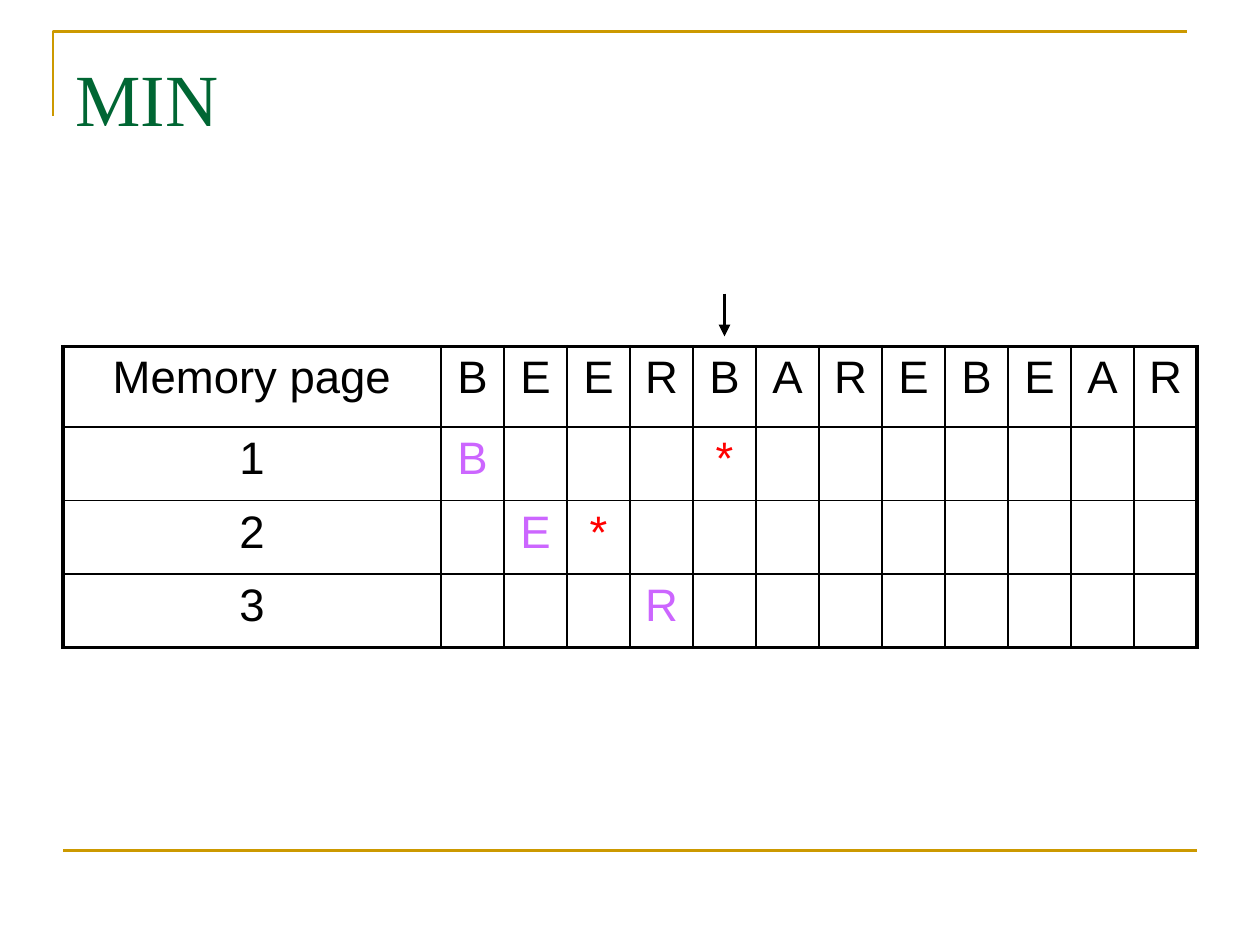
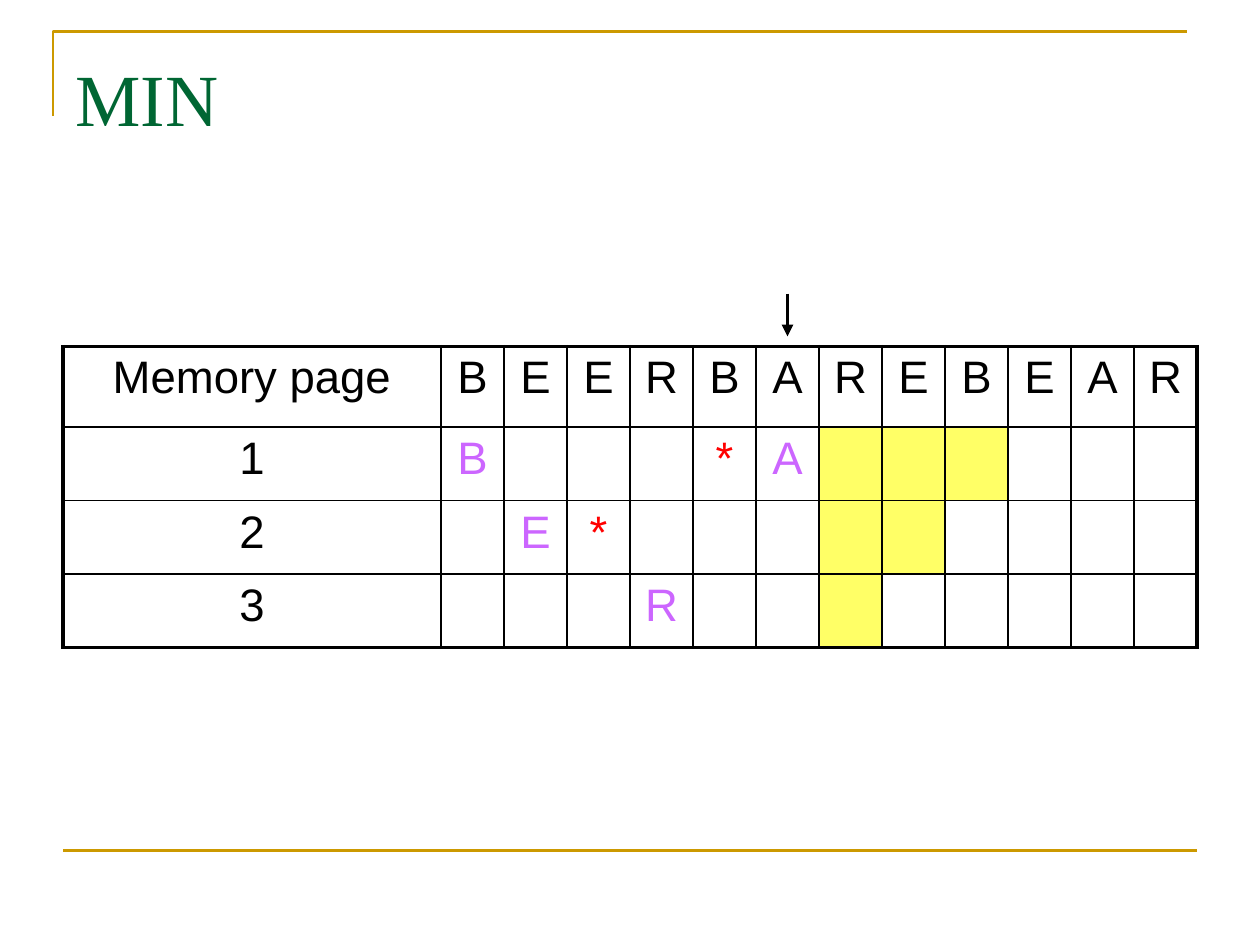
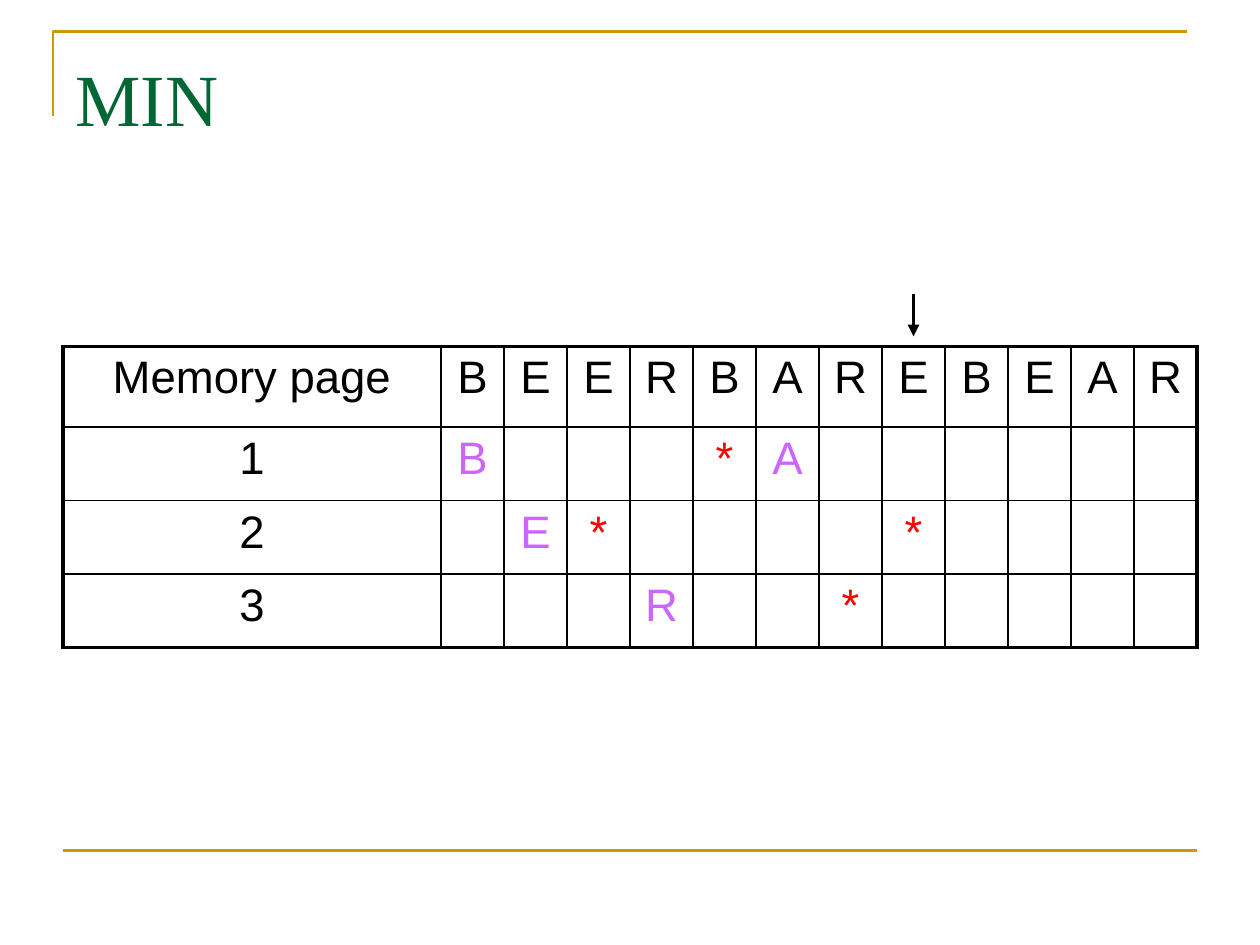
from dataclasses import dataclass

from pptx import Presentation
from pptx import util as u
from pptx.dml import color
from pptx.enum import shapes, text
from pptx.oxml import xmlchemy
from pptx.oxml.ns import qn

TITLE = "MIN"
ROW_LABEL = "Memory page"
REFERENCES = "BEERBAREBEAR"

# "step" is the reference being served. Each string is one memory page over time:
# a letter is a page loaded, * a hit and . nothing.
# "lookahead" counts the marked cells after that step on each memory page.
FRAMES = [
    {"step": 4, "lookahead": (0, 0, 0),
     "pages": ("B...*.......", ".E*.........", "...R........")},
    {"step": 5, "lookahead": (3, 2, 1),
     "pages": ("B...*A......", ".E*.........", "...R........")},
    {"step": 7, "lookahead": (0, 0, 0),
     "pages": ("B...*A......", ".E*....*....", "...R..*.....")},
]


@dataclass(frozen=True)
class Theme:
    title_font: str = "Times New Roman"
    body_font: str = "Arial"
    title_size: float = 42
    body_size: float = 26
    title: str = "006633"
    rule: str = "CC9900"
    ink: str = "000000"
    paper: str = "FFFFFF"
    load: str = "CC66FF"
    hit: str = "FF0000"
    lookahead: str = "FFFF66"
    rule_width: float = 1.5
    thin: float = 1
    thick: float = 2.25


THEME = Theme()

TABLE_LEFT, TABLE_TOP, TABLE_WIDTH, TABLE_HEIGHT = 0.5, 2.75, 9, 2.39
LABEL_WIDTH, HEADER_HEIGHT = 3, 0.64
STEP_WIDTH = (TABLE_WIDTH - LABEL_WIDTH) / len(REFERENCES)
ARROW_TOP, ARROW_BOTTOM = 2.33, 2.67


def rgb(value):
    return color.RGBColor.from_string(value)


def style_line(line, line_color, width):
    line.color.rgb = rgb(line_color)
    line.width = u.Pt(width)


def style_runs(paragraph, font_name, size, font_color):
    for run in paragraph.runs:
        run.font.name = font_name
        run.font.size = u.Pt(size)
        run.font.color.rgb = rgb(font_color)


def add_line(slide, start, end, line_color, width):
    connector = slide.shapes.add_connector(
        shapes.MSO_CONNECTOR.STRAIGHT, *map(u.Inches, (*start, *end)))
    style_line(connector.line, line_color, width)
    add_element(connector._element.spPr, "a:effectLst")
    return connector


def add_element(parent, tag, **attributes):
    element = xmlchemy.OxmlElement(tag)
    for name, value in attributes.items():
        element.set(name, str(value))
    parent.append(element)
    return element


def add_frame(slide):
    """Draw the corner bracket, the bottom rule and the title."""
    builder = slide.shapes.build_freeform(42, 92, scale=u.Inches(0.01))
    builder.add_line_segments([(42, 25), (942, 25)], close=False)
    bracket = builder.convert_to_shape()
    bracket.shadow.inherit = False
    bracket.fill.background()
    style_line(bracket.line, THEME.rule, THEME.rule_width)

    add_line(slide, (0.5, 6.75), (9.5, 6.75), THEME.rule, THEME.rule_width)

    title_box = slide.shapes.add_textbox(*map(u.Inches, (0.5, 0.3, 9, 1.25)))
    frame = title_box.text_frame
    frame.word_wrap = True
    frame.margin_top = u.Inches(0.12)
    frame.text = TITLE
    style_runs(frame.paragraphs[0], THEME.title_font, THEME.title_size, THEME.title)


def set_borders(cell, thick_sides):
    properties = cell._tc.get_or_add_tcPr()
    for side in "LRTB":
        width = THEME.thick if side in thick_sides else THEME.thin
        border = add_element(properties, f"a:ln{side}", w=u.Pt(width))
        fill = add_element(border, "a:solidFill")
        add_element(fill, "a:srgbClr", val=THEME.ink)


def mark_color(mark):
    return THEME.hit if mark == "*" else THEME.load


def add_page_table(slide, frame):
    rows = [(ROW_LABEL, *REFERENCES)]
    for number, marks in enumerate(frame["pages"], start=1):
        rows.append((str(number), *marks.replace(".", " ")))
    last_row, last_column = len(rows) - 1, len(REFERENCES)

    table = slide.shapes.add_table(
        last_row + 1, last_column + 1,
        *map(u.Inches, (TABLE_LEFT, TABLE_TOP, TABLE_WIDTH, TABLE_HEIGHT))).table
    table.first_row = table.horz_banding = False
    for index, column in enumerate(table.columns):
        column.width = u.Inches(STEP_WIDTH if index else LABEL_WIDTH)
    page_height = (TABLE_HEIGHT - HEADER_HEIGHT) / last_row
    for index, row in enumerate(table.rows):
        row.height = u.Inches(page_height if index else HEADER_HEIGHT)

    first_marked = frame["step"] + 2
    for row, values in enumerate(rows):
        marked = range(first_marked, first_marked + frame["lookahead"][row - 1]) if row else ()
        for column, value in enumerate(values):
            cell = table.cell(row, column)
            outer = {"L": column == 0, "R": column == last_column,
                     "T": row == 0, "B": row == last_row}
            set_borders(cell, [side for side, is_outer in outer.items() if is_outer])
            cell.fill.solid()
            cell.fill.fore_color.rgb = rgb(THEME.lookahead if column in marked else THEME.paper)
            if value.strip():
                cell.text_frame.text = value
                paragraph = cell.text_frame.paragraphs[0]
                paragraph.alignment = text.PP_ALIGN.CENTER
                ink = mark_color(value) if row and column else THEME.ink
                style_runs(paragraph, THEME.body_font, THEME.body_size, ink)


def add_step_arrow(slide, step):
    x = TABLE_LEFT + LABEL_WIDTH + (step + 0.5) * STEP_WIDTH
    arrow = add_line(slide, (x, ARROW_TOP), (x, ARROW_BOTTOM), THEME.ink, THEME.thick)
    add_element(arrow._element.spPr.find(qn("a:ln")), "a:tailEnd", type="triangle")


def main():
    presentation = Presentation()
    presentation.slide_width = u.Inches(10)
    presentation.slide_height = u.Inches(7.5)
    blank = presentation.slide_layouts[6]
    for frame in FRAMES:
        slide = presentation.slides.add_slide(blank)
        add_frame(slide)
        add_page_table(slide, frame)
        add_step_arrow(slide, frame["step"])
    presentation.save("out.pptx")


if __name__ == "__main__":
    main()
